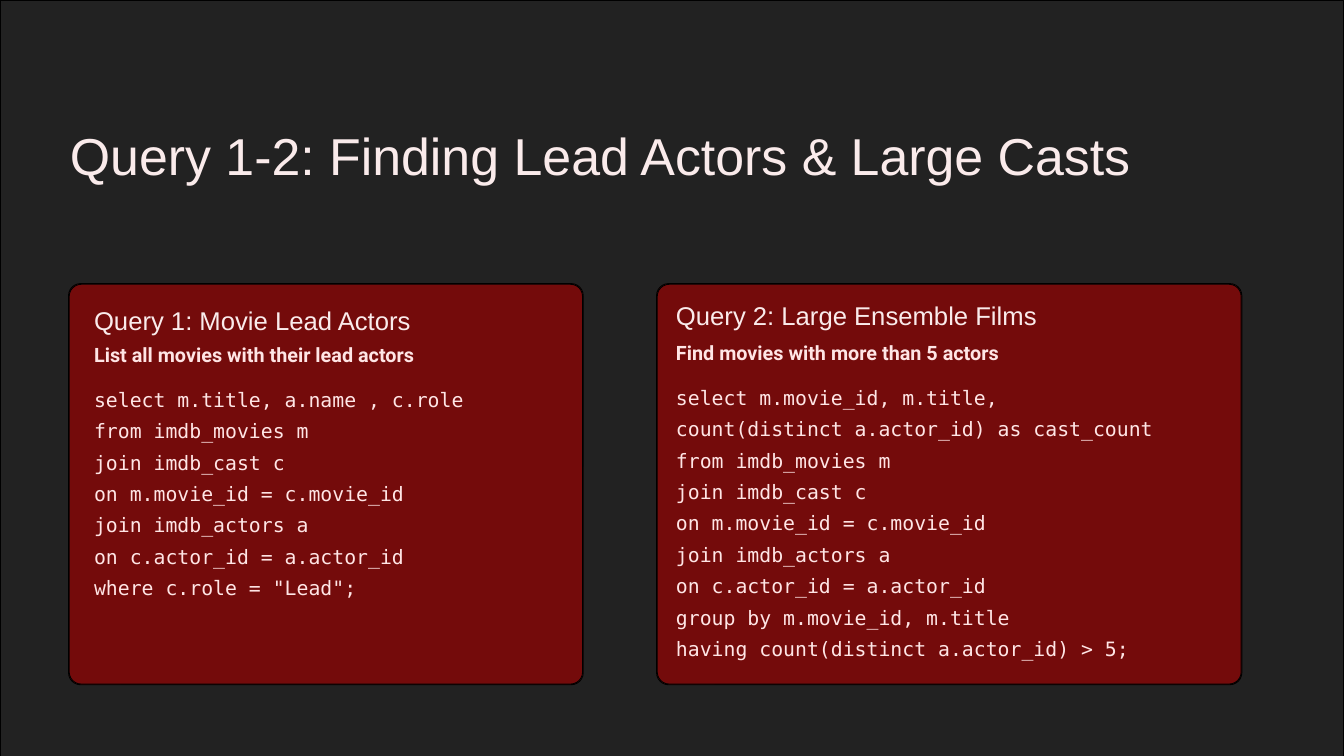
from lxml import etree
from pptx import Presentation
from pptx.dml.color import RGBColor
from pptx.enum.shapes import MSO_SHAPE
from pptx.enum.text import MSO_AUTO_SIZE
from pptx.oxml.ns import qn
from pptx.util import Inches, Pt

RECTANGLE = MSO_SHAPE.RECTANGLE
ROUNDED = MSO_SHAPE.ROUNDED_RECTANGLE
GROW = MSO_AUTO_SIZE.SHAPE_TO_FIT_TEXT

HEADING_COLOR = "FAEBEB"
BODY_COLOR = "FFE5E5"
PANEL_TOP, PANEL_HEIGHT = 4.23, 5.95
CORNER_RADIUS = 0.18
RIM = 0.01

LEAD_SQL = """select m.title, a.name , c.role
from imdb_movies m
join imdb_cast c
on m.movie_id = c.movie_id
join imdb_actors a
on c.actor_id = a.actor_id
where c.role = "Lead";"""

ENSEMBLE_SQL = """select m.movie_id, m.title,
count(distinct a.actor_id) as cast_count
from imdb_movies m
join imdb_cast c
on m.movie_id = c.movie_id
join imdb_actors a
on c.actor_id = a.actor_id
group by m.movie_id, m.title
having count(distinct a.actor_id) > 5;"""


def rgb(value):
    return RGBColor.from_string(value)


def add_block(slide, preset, left, top, width, height, color):
    block = slide.shapes.add_shape(
        preset, Inches(left), Inches(top), Inches(width), Inches(height))
    block.shadow.inherit = False
    block.fill.solid()
    block.fill.fore_color.rgb = rgb(color)
    block.line.color.rgb = rgb("000000")
    block.line.width = Pt(1)
    return block


def add_backdrop(slide):
    backdrop = add_block(slide, RECTANGLE, 0, 0, 20, 11.43, "0A0A0A")
    color = backdrop.fill._xPr.find(qn("a:solidFill"))[0]
    etree.SubElement(color, qn("a:alpha"), val="90000")


def add_panel(slide, left, width):
    for margin, color in ((RIM, "8D2424"), (0, "740B0B")):
        height = PANEL_HEIGHT + 2 * margin
        layer = add_block(slide, ROUNDED, left - margin, PANEL_TOP - margin,
                          width + 2 * margin, height, color)
        layer.adjustments[0] = CORNER_RADIUS / height


def add_text(slide, left, top, width, height, text, font, size, spacing, color,
             bold=False):
    box = slide.shapes.add_textbox(
        Inches(left), Inches(top), Inches(width), Inches(height))
    frame = box.text_frame
    frame.margin_left = frame.margin_right = 0
    frame.margin_top = frame.margin_bottom = 0
    frame.word_wrap = True
    frame.auto_size = GROW
    frame.text = text
    for paragraph in frame.paragraphs:
        paragraph.line_spacing = Pt(spacing)
        for run in paragraph.runs:
            run.font.name = font
            run.font.size = Pt(size)
            run.font.bold = bold
            run.font.color.rgb = rgb(color)


def add_query(slide, left, top, title, purpose, purpose_top, sql, sql_top):
    add_text(slide, left, top, 7.1, 0.52, title, "Arial", 27.5, 35, HEADING_COLOR)
    add_text(slide, left, purpose_top, 8.6, 0.56, purpose, "Roboto", 21.2, 33.7,
             BODY_COLOR, bold=True)
    sql_height = len(sql.splitlines()) * 33.7 / 72
    add_text(slide, left, sql_top, 8.6, sql_height, sql, "DejaVu Sans Mono",
             21.2, 33.7, BODY_COLOR)


def main():
    deck = Presentation()
    deck.slide_width = Inches(20)
    deck.slide_height = Inches(11.25)
    slide = deck.slides.add_slide(deck.slide_layouts[6])

    add_backdrop(slide)
    add_panel(slide, 1.03, 7.64)
    add_panel(slide, 9.78, 8.69)
    add_text(slide, 1.04, 1.8, 17.93, 1.98,
             "Query 1-2: Finding Lead Actors & Large Casts",
             "Arial", 55.6, 70, HEADING_COLOR)
    add_query(slide, 1.4, 4.51, "Query 1: Movie Lead Actors",
              "List all movies with their lead actors", 4.99, LEAD_SQL, 5.65)
    add_query(slide, 10.06, 4.44, "Query 2: Large Ensemble Films",
              "Find movies with more than 5 actors", 4.96, ENSEMBLE_SQL, 5.62)
    deck.save("out.pptx")


if __name__ == "__main__":
    main()
